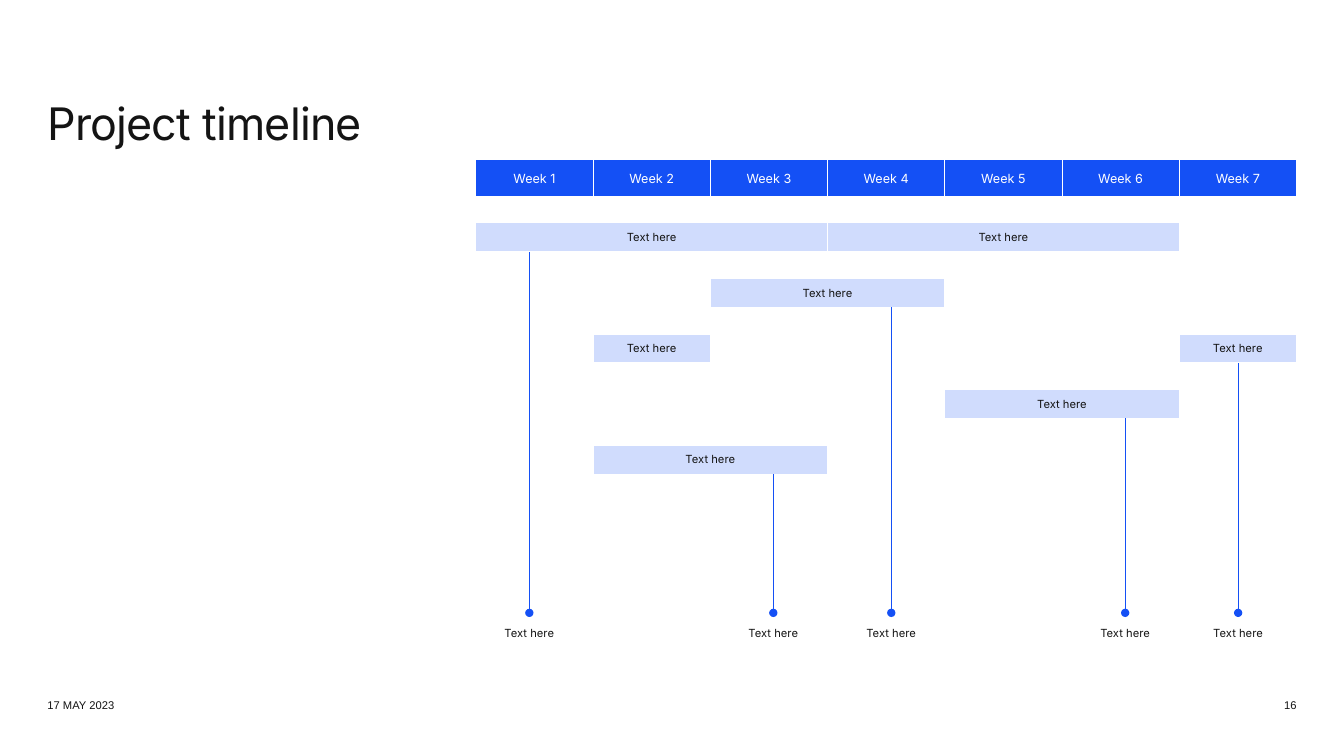
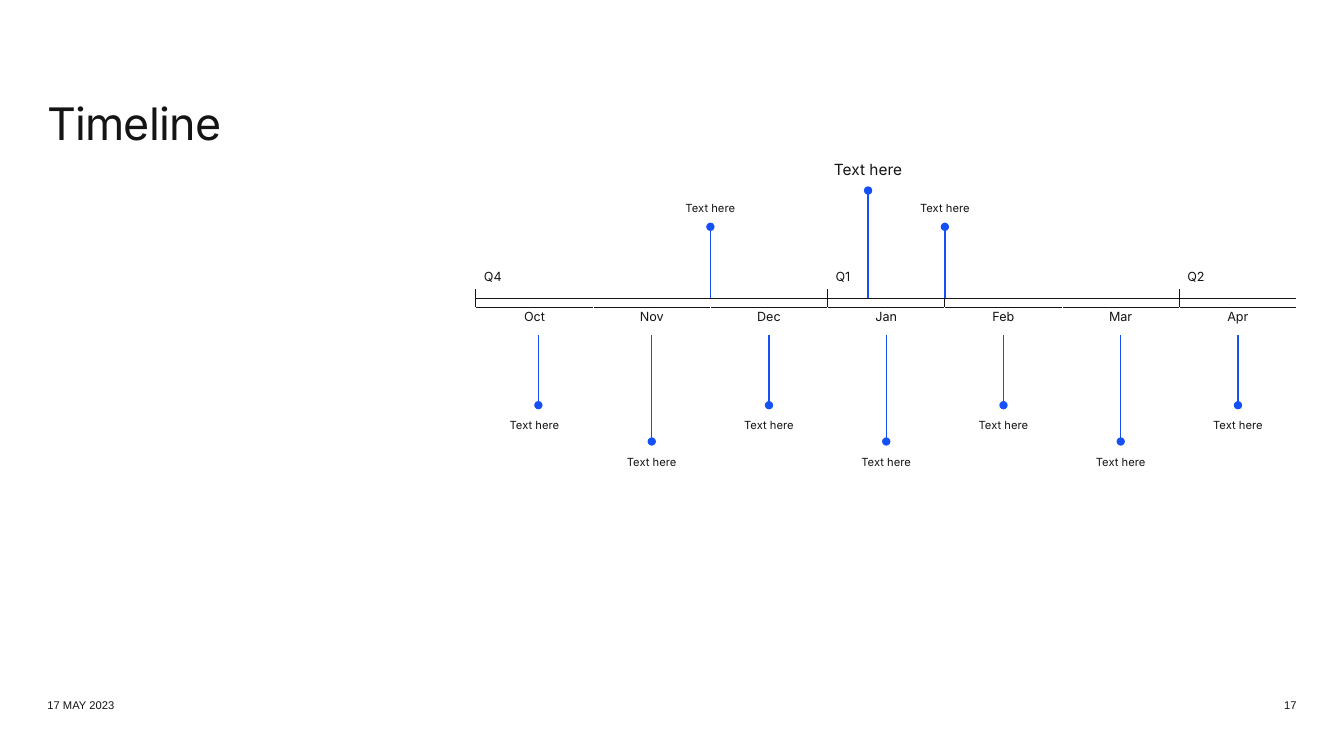
from lxml import etree
from pptx import Presentation
from pptx.dml.color import RGBColor
from pptx.enum import shapes, text
from pptx.oxml.ns import qn
from pptx.util import Inches, Pt

COLORS = {"ink": "141414", "blue": "1450F5", "pale": "D0DCFD", "white": "FFFFFF"}
LEFT, CENTER, RIGHT = text.PP_ALIGN.LEFT, text.PP_ALIGN.CENTER, text.PP_ALIGN.RIGHT
TOP, MIDDLE, BOTTOM = text.MSO_ANCHOR.TOP, text.MSO_ANCHOR.MIDDLE, text.MSO_ANCHOR.BOTTOM
NO_STYLE = "{2D5ABB26-0587-4C30-8999-92F81FD0307C}"
GRID_LEFT, GRID_WIDTH, COLS = 4.72, 8.14, 7
COL = GRID_WIDTH / COLS


def write(tf, words, size, color="ink", align=LEFT, spacing=1.1, font="Inter"):
    p = tf.paragraphs[0]
    p.text = words
    p.alignment = align
    p.line_spacing = spacing
    p.font.size = Pt(size)
    p.font.name = font
    p.font.color.rgb = RGBColor.from_string(COLORS[color])


def frame(tf, anchor, top=0, bottom=0):
    tf.word_wrap = True
    tf.auto_size = text.MSO_AUTO_SIZE.NONE
    tf.vertical_anchor = anchor
    tf.margin_left = tf.margin_right = 0
    tf.margin_top, tf.margin_bottom = Inches(top), Inches(bottom)


prs = Presentation()
prs.slide_width, prs.slide_height = Inches(13.33), Inches(7.5)

# Title, date, page number and bare grid of each slide
bar_row = (4.49 - 0.35) / 15
pages = [
    ("Project timeline", "16", 1.59, [0.35] + [bar_row] * 15, ()),
    ("Timeline", "17", 2.66, [0.21, 0.09, 0.09, 0.26], (1, 2)),
]
slides, tables = [], []
for title, number, grid_top, heights, axis_rows in pages:
    s = prs.slides.add_slide(prs.slide_layouts[5])
    slides.append(s)
    sp = s.shapes.title
    sp.left, sp.top, sp.width, sp.height = map(Inches, (0.47, 0.95, 3.89, 1.08))
    frame(sp.text_frame, TOP)
    write(sp.text_frame, title, 32, spacing=1.0)
    sp.text_frame.paragraphs[0].runs[0]._r.get_or_add_rPr().set("spc", "-60")

    for words, x, w, align in (("17 MAY 2023", 0.47, 1.06, LEFT), (number, 12.15, 0.71, RIGHT)):
        sp = s.shapes.add_textbox(Inches(x), Inches(6.86), Inches(w), Inches(0.2))
        frame(sp.text_frame, BOTTOM)
        write(sp.text_frame, words, 8, align=align, font="Arial")

    table = s.shapes.add_table(len(heights), COLS, Inches(GRID_LEFT), Inches(grid_top),
                               Inches(GRID_WIDTH), Inches(sum(heights))).table
    tables.append(table)
    table.first_row = table.horz_banding = False
    table._tbl.tblPr.find(qn("a:tableStyleId")).text = NO_STYLE
    for column in table.columns:
        column.width = Inches(COL)
    for r, height in enumerate(heights):
        table.rows[r].height = Inches(height)
        for c in range(COLS):
            cell = table.cell(r, c)
            cell.margin_top = cell.margin_bottom = 0
            cell.margin_left = cell.margin_right = Inches(0.08)
            cell.text_frame.paragraphs[0]._p.get_or_add_endParaRPr().set("sz", "100")
            edges = {"L": "white", "R": "white"}
            if r in axis_rows:
                edges = {}
                if c % 3 == 0:
                    edges["L"] = "ink"
                elif c % 3 == 2:
                    edges["R"] = "ink"
                edges["B" if r == axis_rows[0] else "T"] = "ink"
            for side, color in edges.items():
                ln = etree.SubElement(cell._tc.get_or_add_tcPr(), qn("a:ln" + side), w="9525")
                fill = etree.SubElement(ln, qn("a:solidFill"))
                etree.SubElement(fill, qn("a:srgbClr"), val=COLORS[color])
            cell.fill.background()

# Project timeline: week headers and task bars as row, column, span
gantt, axis = tables
entries = [(0, c, 1, f"Week {c + 1}", 9, "white", "blue", 1.1) for c in range(COLS)]
tasks = [(2, 0, 3), (2, 3, 3), (4, 2, 2), (6, 1, 1), (6, 6, 1), (8, 4, 2), (10, 1, 2)]
entries += [(*task, "Text here", 8, "ink", "pale", 1.0) for task in tasks]
for r, c, span, words, size, color, fill, spacing in entries:
    cell = gantt.cell(r, c)
    if span > 1:
        cell.merge(gantt.cell(r, c + span - 1))
    cell.margin_top = cell.margin_bottom = Inches(0.04)
    cell.vertical_anchor = MIDDLE
    cell.fill.solid()
    cell.fill.fore_color.rgb = RGBColor.from_string(COLORS[fill])
    write(cell.text_frame, words, size, color, CENTER, spacing)

# Timeline: quarters above the axis, months below
entries = [(0, 3 * i, quarter, LEFT) for i, quarter in enumerate(("Q4", "Q1", "Q2"))]
months = ("Oct", "Nov", "Dec", "Jan", "Feb", "Mar", "Apr")
entries += [(3, c, month, CENTER) for c, month in enumerate(months)]
for r, c, words, align in entries:
    axis.cell(r, c).margin_bottom = Inches(0.04)
    write(axis.cell(r, c).text_frame, words, 9, align=align)

# Milestones: slide, x of label and line, y of dot, y of line end, label width, text size, weight
milestones = [(slides[0], x, x, 6.08, end, 1.06, 8, 0.75) for x, end in
              ((7.67, 4.7), (5.25, 2.5), (8.84, 3.05), (11.16, 4.15), (12.28, 3.6))]
for c in range(COLS):
    x = GRID_LEFT + COL * (c + 0.5)
    line_x = 5.34 if c == 0 else x
    milestones.append((slides[1], x, line_x, (4.02, 4.38)[c % 2], 3.32, COL, 8, 1))
milestones += [(slides[1], x, x, dot, 2.96, COL, size, 1) for x, dot, size in
               ((8.61, 1.89, 11), (GRID_LEFT + 2 * COL, 2.25, 8), (GRID_LEFT + 4 * COL, 2.25, 8))]
for s, x, line_x, dot, end, width, size, weight in milestones:
    above = dot < end
    group = s.shapes.add_group_shape()
    label = group.shapes.add_textbox(Inches(x - width / 2), Inches(dot - 0.47 if above else dot),
                                     Inches(width), Inches(0.47))
    if above:
        frame(label.text_frame, BOTTOM, bottom=0.12)
    else:
        frame(label.text_frame, TOP, top=0.12)
    write(label.text_frame, "Text here", size, align=CENTER)
    line = group.shapes.add_connector(shapes.MSO_CONNECTOR.STRAIGHT, Inches(line_x), Inches(dot),
                                      Inches(line_x), Inches(end))
    line.line.color.rgb = RGBColor.from_string(COLORS["blue"])
    line.line.width = Pt(weight)
    spPr = line._element.spPr
    etree.SubElement(spPr.find(qn("a:ln")), qn("a:headEnd"), type="oval")
    etree.SubElement(spPr, qn("a:effectLst"))
    if line_x == x:
        line.begin_connect(label, 2 if above else 0)
        line.end_x = line.begin_x

prs.save("out.pptx")
